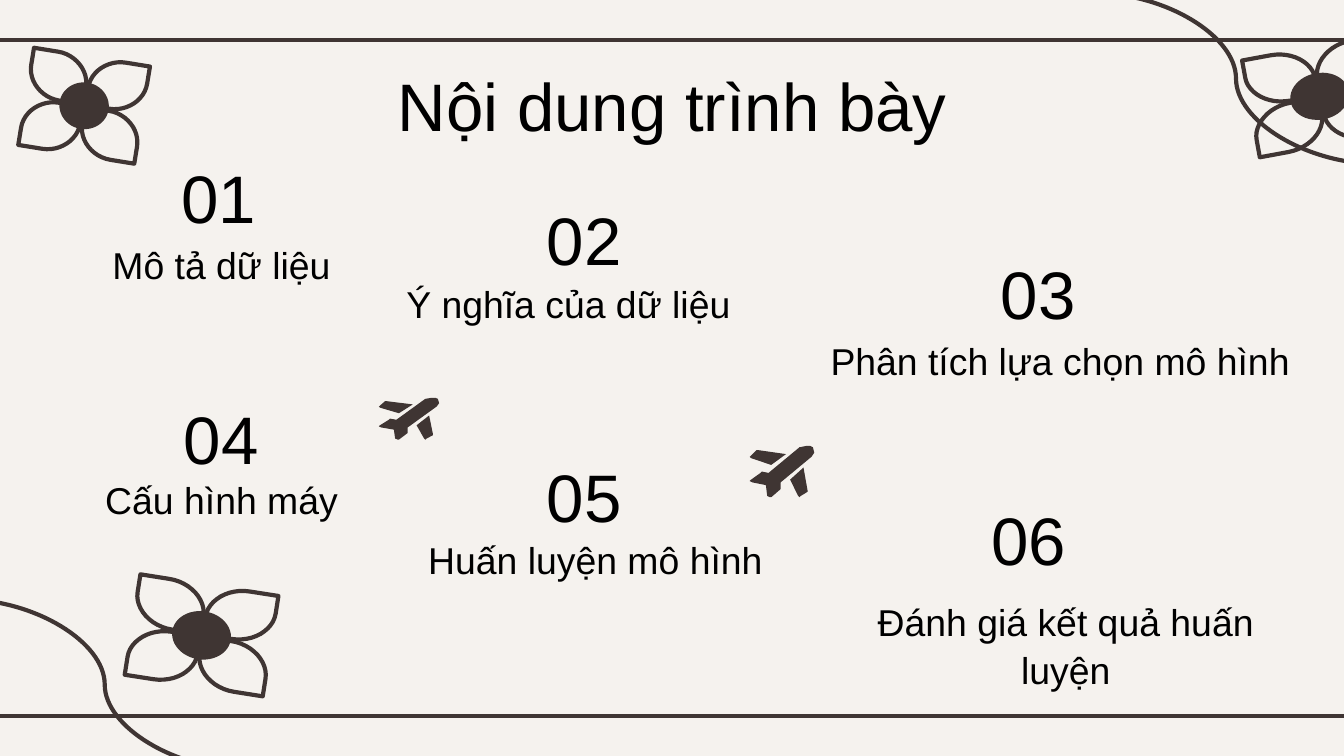
from math import cos, radians, sin

from lxml import etree
from pptx import Presentation
from pptx.dml.color import RGBColor
from pptx.enum import shapes, text
from pptx.oxml.ns import qn
from pptx.util import Cm, Pt

CREAM = RGBColor(0xF5, 0xF2, 0xEE)
BROWN = RGBColor(0x3F, 0x35, 0x33)
BLACK = RGBColor(0, 0, 0)

# Number left and top, then label left, top, width and height, in cm
TOPICS = [
    ("01", 3.0, 2.59, "Mô tả dữ liệu", 0.94, 4.27, 6.5, 1.12),
    ("02", 9.91, 3.38, "Ý nghĩa của dữ liệu", 6.91, 5.0, 7.67, 1.6),
    ("03", 18.49, 4.39, "Phân tích lựa chọn mô hình", 15.2, 6.07, 9.68, 1.68),
    ("04", 3.05, 7.14, "Cấu hình máy", 1.47, 8.71, 5.44, 1.12),
    ("05", 9.91, 8.23, "Huấn luyện mô hình", 7.42, 9.83, 7.67, 2.39),
    ("06", 18.31, 9.04, "Đánh giá kết quả huấn luyện", 15.42, 11.0, 9.45, 1.6),
]
# Centre, petal width and height in cm, then tilt in degrees
FLOWERS = [
    (1.59, 2.0, 1.09, 0.91, 9.2),
    (24.94, 1.82, 1.3, 0.91, -10.4),
    (3.81, 12.01, 1.3, 0.94, 8.9),
]
# Left, top, width and height in cm
PLANES = [(7.16, 7.52, 1.14, 0.79), (14.17, 8.43, 1.22, 0.97)]
# Plane outlines on a grid of 48 by 38
PLANE_PARTS = [
    [(42, 0), (37, 1), (14, 20), (9, 19), (8, 20), (1, 25), (0, 26), (2, 27),
     (12, 29), (13, 37), (15, 38), (16, 38), (23, 32), (23, 27), (46, 8),
     (48, 5), (47, 1), (45, 0)],
    [(6, 3), (5, 3), (1, 7), (0, 8), (1, 9), (16, 14), (27, 6)],
    [(40, 16), (30, 25), (36, 37), (37, 38), (38, 37), (43, 34), (43, 33)],
]

prs = Presentation()
prs.slide_width, prs.slide_height = Cm(25.4), Cm(14.29)
slide = prs.slides.add_slide(prs.slide_layouts[5])
slide.background.fill.solid()
slide.background.fill.fore_color.rgb = CREAM


def write(box, words, size, left, top, width, height):
    box.left, box.top, box.width, box.height = Cm(left), Cm(top), Cm(width), Cm(height)
    frame = box.text_frame
    frame.word_wrap = True
    frame.auto_size = text.MSO_AUTO_SIZE.NONE
    frame.vertical_anchor = text.MSO_ANCHOR.TOP
    frame.margin_left = frame.margin_right = Cm(0.25)
    frame.margin_top = frame.margin_bottom = Cm(0.25)
    frame.text = words
    line = frame.paragraphs[0]
    line.alignment = text.PP_ALIGN.CENTER
    line.line_spacing = 1.08
    line.font.name, line.font.size = "Arial", Pt(size)
    line.font.color.rgb = BLACK


def outline(points):
    """Add a closed, unfilled freeform through points given in cm."""
    corners = [(Cm(x), Cm(y)) for x, y in points]
    builder = slide.shapes.build_freeform(*corners[0])
    builder.add_line_segments(corners[1:], close=True)
    shape = builder.convert_to_shape()
    shape.shadow.inherit = False
    shape.fill.background()
    return shape


# Rules along the top and bottom, and stems in two corners
STRAIGHT, CURVE = shapes.MSO_CONNECTOR.STRAIGHT, shapes.MSO_CONNECTOR.CURVE
for kind, *ends in [
    (STRAIGHT, -0.2, 0.76, 25.6, 0.76),
    (STRAIGHT, -0.2, 13.54, 25.6, 13.54),
    (CURVE, -0.69, 11.33, 4.65, 14.55),
    (CURVE, 20.68, -0.13, 26.04, 3.1),
]:
    stem = slide.shapes.add_connector(kind, *map(Cm, ends))
    stem.line.color.rgb, stem.line.width = BROWN, Pt(2.25)
    etree.SubElement(stem.element.spPr, qn("a:effectLst"))

write(slide.shapes.title, "Nội dung trình bày", 36, 6.48, 0.84, 12.45, 1.6)
for number, left, top, label, *label_place in TOPICS:
    write(slide.shapes.add_textbox(0, 0, 0, 0), label, 20, *label_place)
    write(slide.shapes.add_textbox(0, 0, 0, 0), number, 36, left, top, 2.26, 1.6)

for left, top, width, height in PLANES:
    for part in PLANE_PARTS:
        wing = outline([(left + x / 48 * width, top + y / 38 * height) for x, y in part])
        wing.fill.solid()
        wing.fill.fore_color.rgb = BROWN
        wing.line.fill.background()

# Petal in a unit square: tip at (0, 0), root at (1, 1), two cubic sides
petal_half = [(0, 0)]
for step in range(13):
    t = step / 12
    weights = (1 - t) ** 3, 3 * t * (1 - t) ** 2, 3 * t * t * (1 - t), t ** 3
    petal_half.append((sum(w * x for w, x in zip(weights, (0, 0, 0.26, 0.58))),
                       sum(w * y for w, y in zip(weights, (0.36, 0.7, 1, 1)))))
petal_outline = petal_half + [(1 - x, 1 - y) for x, y in petal_half]

for centre_x, centre_y, width, height, tilt in FLOWERS:
    turn = radians(tilt)
    for side_x, side_y in [(-1, -1), (1, -1), (-1, 1), (1, 1)]:
        across, down = side_x * (width / 2 + 0.02), side_y * (height / 2 + 0.02)
        middle_x = centre_x + across * cos(turn) - down * sin(turn)
        middle_y = centre_y + across * sin(turn) + down * cos(turn)
        petal = outline([(middle_x - side_x * (x - 0.5) * -width,
                          middle_y - side_y * (y - 0.5) * -height)
                         for x, y in [(1 - x, 1 - y) for x, y in petal_outline]])
        petal.rotation = tilt
        petal.line.color.rgb, petal.line.width = BROWN, Pt(2.25)
        etree.SubElement(petal.line._get_or_add_ln(), qn("a:round"))
    disc_w, disc_h = 0.86 * width, 0.97 * height
    disc = slide.shapes.add_shape(
        shapes.MSO_SHAPE.OVAL, Cm(centre_x - disc_w / 2), Cm(centre_y - disc_h / 2),
        Cm(disc_w), Cm(disc_h))
    disc.rotation = tilt
    disc.shadow.inherit = False
    disc.fill.solid()
    disc.fill.fore_color.rgb = BROWN
    disc.line.fill.background()

prs.save("out.pptx")
